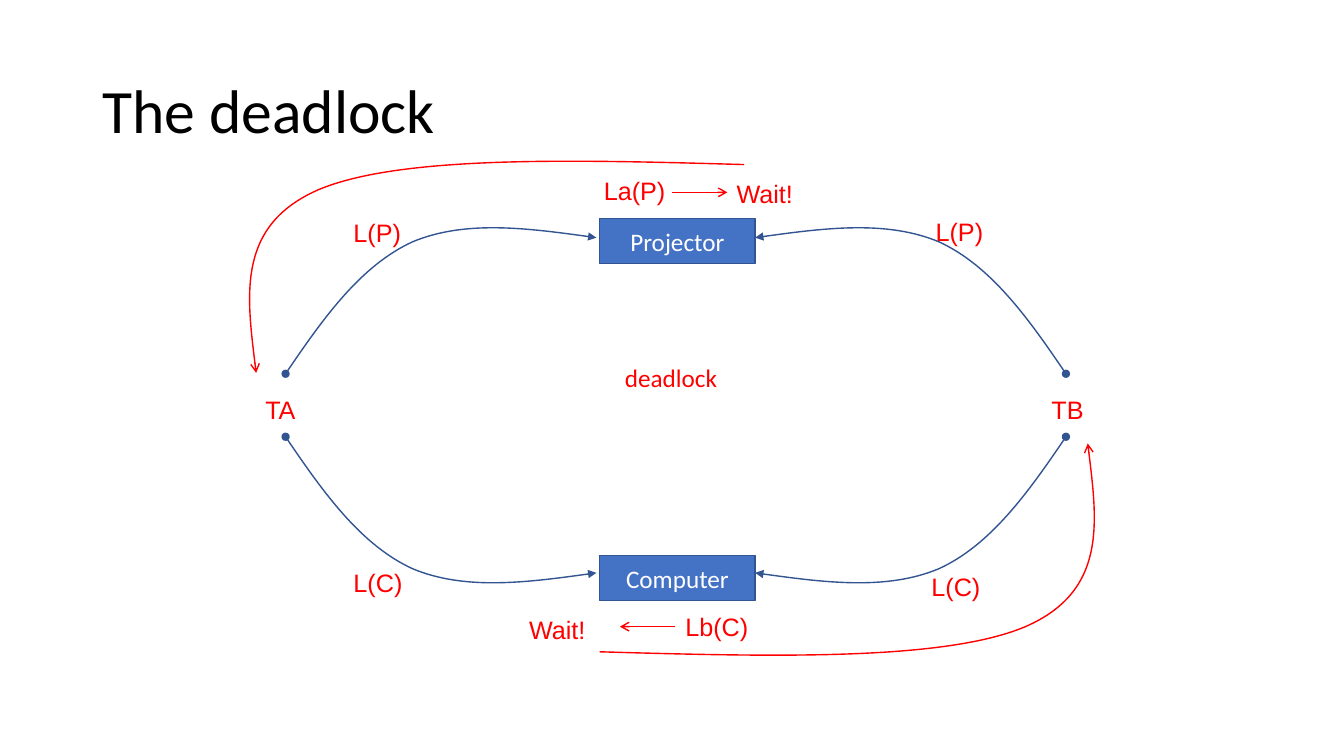
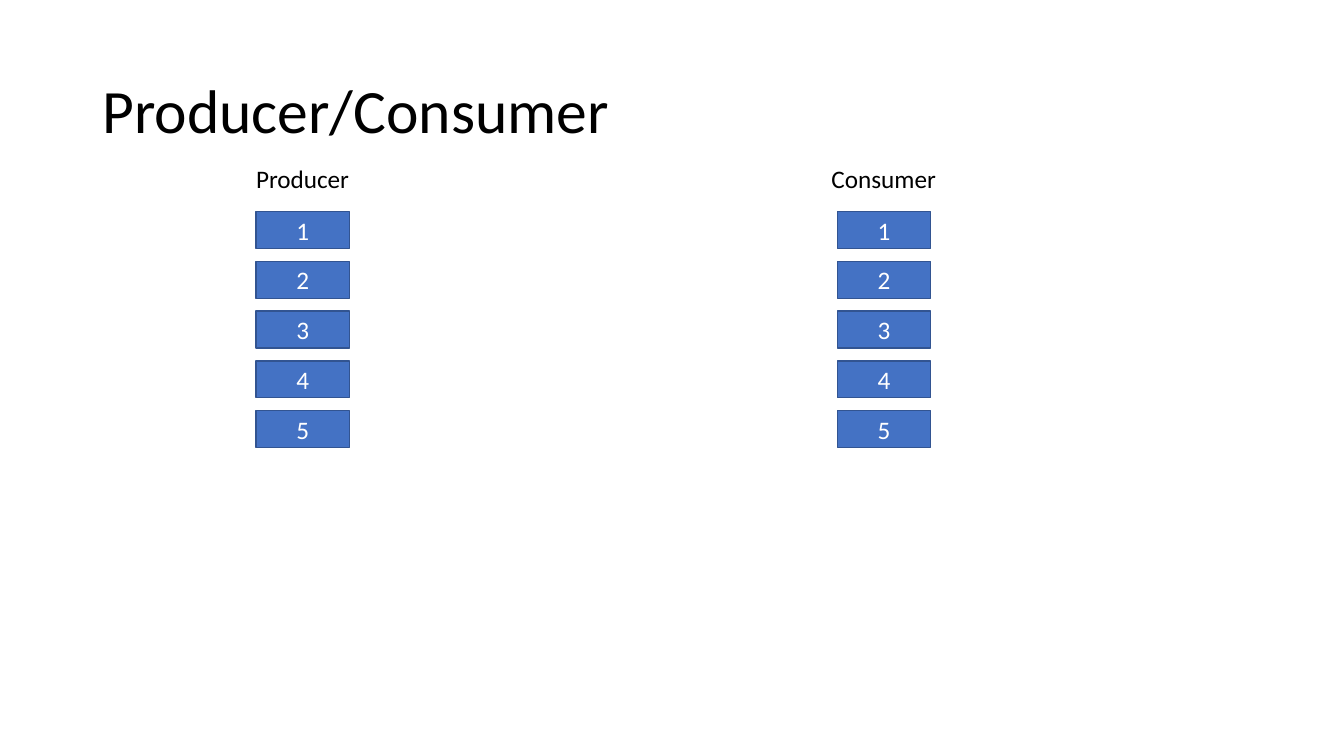
import pptx
import pptx.util
import pptx.dml.color
import pptx.enum.shapes
import pptx.enum.text
import pptx.oxml.ns
import lxml.etree

COLS, ROWS = 160, 90
CELL = pptx.util.Inches(1 / 12)
BLACK, WHITE, RED = "000000", "FFFFFF", "FF0000"
BLUE, NAVY = "4472C4", "325491"
LABEL_H = 4.8

qn = pptx.oxml.ns.qn


def rgb(color):
    return pptx.dml.color.RGBColor.from_string(color)


def grid(*cells):
    return [pptx.util.Emu(round(c * CELL)) for c in cells]


class Deck:
    def __init__(self):
        self.prs = pptx.Presentation()
        self.prs.slide_width, self.prs.slide_height = grid(COLS, ROWS)
        self.s = None

    def slide(self, title):
        self.s = self.prs.slides.add_slide(self.prs.slide_layouts[5])
        sp = self.s.shapes.title
        sp.left, sp.top, sp.width, sp.height = grid(11, 4.8, 138, 17.4)
        sp.text_frame.auto_size = pptx.enum.text.MSO_AUTO_SIZE.NONE
        p = self.set_text(sp, title, "Calibri", BLACK, size=44)
        p.line_spacing = 0.9

    def set_text(self, sp, text, font, color, size=18,
                 align=pptx.enum.text.PP_ALIGN.LEFT):
        p = sp.text_frame.paragraphs[0]
        p.text = text
        p.alignment = align
        p.font.name = font
        p.font.size = pptx.util.Pt(size)
        p.font.color.rgb = rgb(color)
        return p

    def box(self, text, x, y, w, h):
        sp = self.s.shapes.add_shape(
            pptx.enum.shapes.MSO_SHAPE.RECTANGLE, *grid(x, y, w, h))
        sp.shadow.inherit = False
        sp.fill.solid()
        sp.fill.fore_color.rgb = rgb(BLUE)
        sp.line.color.rgb = rgb(NAVY)
        sp.line.width = pptx.util.Pt(1)
        sp.text_frame.vertical_anchor = pptx.enum.text.MSO_ANCHOR.MIDDLE
        self.set_text(sp, text, "Calibri", WHITE,
                      align=pptx.enum.text.PP_ALIGN.CENTER)

    def label(self, text, x, y, w, font="Arial", color=RED, wrap=True):
        sp = self.s.shapes.add_textbox(*grid(x, y, w, LABEL_H))
        sp.text_frame.word_wrap = wrap
        sp.text_frame.auto_size = pptx.enum.text.MSO_AUTO_SIZE.SHAPE_TO_FIT_TEXT
        self.set_text(sp, text, font, color)

    def stroke(self, sp, color, head, tail):
        sp.line.color.rgb = rgb(color)
        sp.line.width = pptx.util.Pt(1)
        spPr = sp.element.spPr
        ln = spPr.find(qn("a:ln"))
        for tag, kind in (("a:headEnd", head), ("a:tailEnd", tail)):
            if kind:
                lxml.etree.SubElement(ln, qn(tag), type=kind)
        lxml.etree.SubElement(spPr, qn("a:effectLst"))

    def arrow(self, x1, y1, x2, y2):
        line = self.s.shapes.add_connector(
            pptx.enum.shapes.MSO_CONNECTOR.STRAIGHT, *grid(x1, y1, x2, y2))
        self.stroke(line, RED, None, "arrow")

    def curve(self, points, color, head, tail):
        start, *rest = [grid(*point) for point in points]
        builder = self.s.shapes.build_freeform(*start)
        builder.add_line_segments(rest, close=False)
        sp = builder.convert_to_shape()
        sp.fill.background()
        steps = list(sp.element.iter(qn("a:lnTo")))
        for i in range(0, len(steps), 3):
            bezier = steps[i]
            bezier.tag = qn("a:cubicBezTo")
            for step in steps[i + 1:i + 3]:
                bezier.append(step[0])
                step.getparent().remove(step)
        self.stroke(sp, color, head, tail)


def deadlock(deck):
    deck.slide("The deadlock")
    for text, y in (("Projector", 26), ("Computer", 66.1)):
        deck.box(text, 71.4, y, 18.5, 5.4)

    lock = [(34, 44.5), (38.4, 38), (43, 31.6), (49.1, 28.8),
            (55.3, 26.2), (63.2, 27.2), (71, 28.3)]
    for mirror_x in (False, True):
        for mirror_y in (False, True):
            points = [(160.9 - x if mirror_x else x,
                       96.5 - y if mirror_y else y) for x, y in lock]
            deck.curve(points, NAVY, "oval", "triangle")

    wait = [(88.6, 19.6), (68, 19), (47.6, 18.5), (37.9, 22.6),
            (28.3, 26.8), (29.4, 35.5), (30.5, 44.4)]
    turned = [(COLS - x, 97.2 - y) for x, y in wait]
    for points in (wait, turned):
        deck.curve(points, RED, None, "arrow")

    for text, x, y, w in (
            ("TA", 30.4, 46.3, 16.3), ("TB", 124, 46.3, 16.3),
            ("L(P)", 40.9, 25.3, 20), ("L(P)", 110.2, 25.2, 20),
            ("L(C)", 40.9, 67, 20), ("L(C)", 109.7, 67.4, 20),
            ("La(P)", 70.7, 20.3, 14.4), ("Wait!", 86.5, 20.6, 15.2),
            ("Lb(C)", 80.4, 72.2, 20), ("Wait!", 61.8, 72.5, 15.2)):
        deck.label(text, x, y, w)
    deck.label("deadlock", 73.2, 42.6, 13.6, font="Calibri", wrap=False)

    deck.arrow(80, 22.9, 86.6, 22.9)
    deck.arrow(80.4, 74.6, 73.8, 74.6)


def producer_consumer(deck):
    deck.slide("Producer/Consumer")
    for text, label_x, label_w, box_x in (
            ("Producer", 29.3, 13.7, 30.5), ("Consumer", 97.8, 15, 99.7)):
        deck.label(text, label_x, 18.8, label_w,
                   font="Calibri", color=BLACK, wrap=False)
        for i in range(5):
            deck.box(str(i + 1), box_x, 25.2 + 5.92 * i, 11.1, 4.4)


def main():
    deck = Deck()
    deadlock(deck)
    producer_consumer(deck)
    deck.prs.save("out.pptx")


if __name__ == "__main__":
    main()
